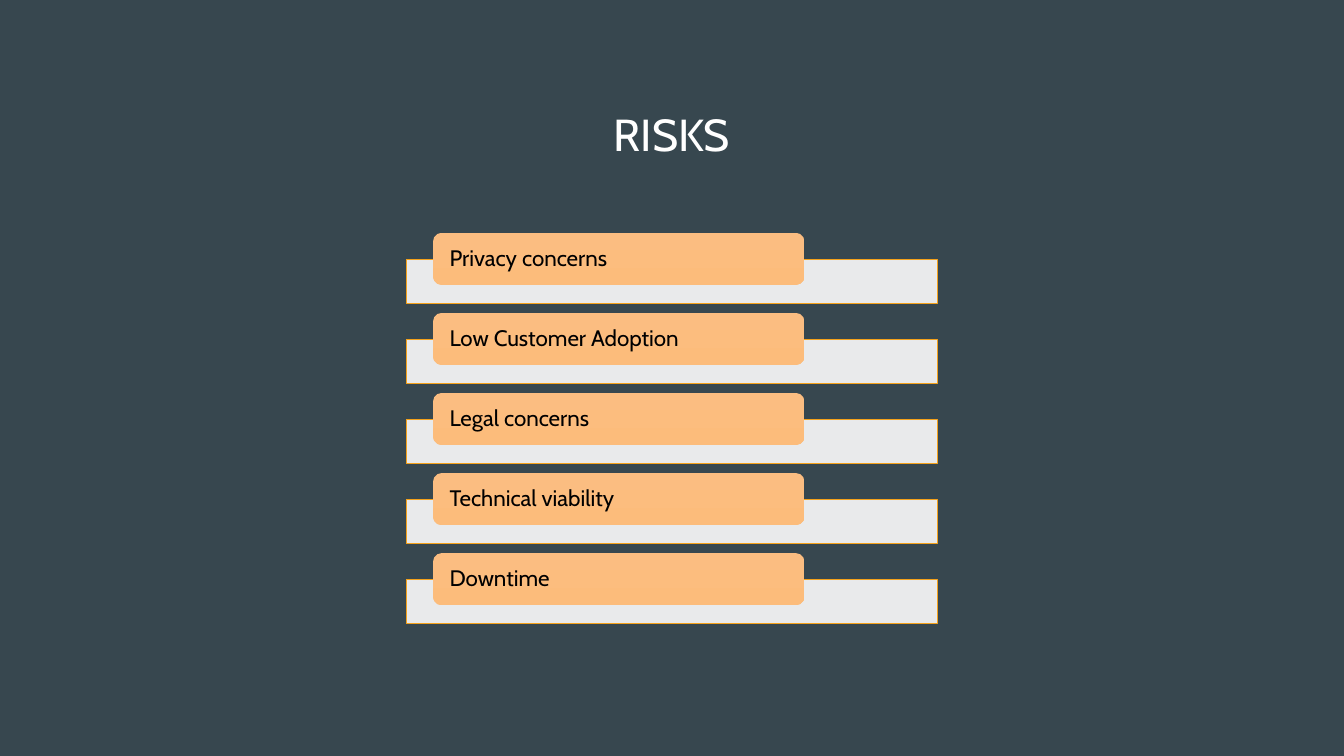
from pptx import Presentation
from pptx.dml.color import RGBColor
from pptx.enum.shapes import MSO_SHAPE as Shape
from pptx.enum.text import MSO_ANCHOR as Anchor, PP_ALIGN as Align
from pptx.oxml.ns import qn
from pptx.util import Pt
from lxml import etree

SLATE = RGBColor(0x37, 0x47, 0x4F)
WHITE = RGBColor(0xFF, 0xFF, 0xFF)
BLACK = RGBColor(0x00, 0x00, 0x00)
ORANGE = RGBColor(0xF5, 0xA2, 0x1B)
PEACH_TOP = RGBColor(0xFB, 0xBD, 0x81)
PEACH_BOTTOM = RGBColor(0xFC, 0xBC, 0x7B)

RISKS = ["Privacy concerns", "Low Customer Adoption", "Legal concerns",
         "Technical viability", "Downtime"]
FIRST_TOP, ROW_PITCH = 166.3, 57.2


def add_box(kind, left, top, width, height):
    box = page.shapes.add_shape(kind, Pt(left), Pt(top), Pt(width), Pt(height))
    box.shadow.inherit = False
    return box


def write_text(box, text, size, color, align, side, edge):
    frame = box.text_frame
    frame.word_wrap = True
    frame.vertical_anchor = Anchor.MIDDLE
    frame.margin_left = frame.margin_right = Pt(side)
    frame.margin_top = frame.margin_bottom = Pt(edge)
    para = frame.paragraphs[0]
    para.text = text
    para.alignment = align
    para.line_spacing = 0.9
    para.font.name = "Cabin"
    para.font.size = Pt(size)
    para.font.color.rgb = color


deck = Presentation()
deck.slide_width, deck.slide_height = Pt(960), Pt(540)
page = deck.slides.add_slide(deck.slide_layouts[6])
page.background.fill.solid()
page.background.fill.fore_color.rgb = SLATE

# Title
title = add_box(Shape.RECTANGLE, 175.7, 51.1, 608.4, 93.6)
title.fill.solid()
title.fill.fore_color.rgb = SLATE
title.line.fill.background()
write_text(title, "RISKS", 32, WHITE, Align.CENTER, 14.4, 14.4)

# One translucent bar and one label per risk
for row, risk in enumerate(RISKS):
    top = FIRST_TOP + row * ROW_PITCH

    bar = add_box(Shape.RECTANGLE, 290.2, top + 18.8, 379.2, 31.5)
    bar.fill.solid()
    bar.fill.fore_color.rgb = WHITE
    color_node = bar.fill._xPr.find(qn("a:solidFill"))[0]
    etree.SubElement(color_node, qn("a:alpha")).set("val", "89000")
    bar.line.color.rgb = ORANGE
    bar.line.width = Pt(0.75)

    label = add_box(Shape.ROUNDED_RECTANGLE, 309.3, top, 265.4, 37.2)
    label.adjustments[0] = 0.167
    label.fill.gradient()
    label.fill.gradient_angle = 270
    for stop, color in zip(label.fill.gradient_stops, (PEACH_TOP, PEACH_BOTTOM)):
        stop.color.rgb = color
    label.line.fill.background()
    write_text(label, risk, 16, BLACK, Align.LEFT, 10, 0)

deck.save("out.pptx")
